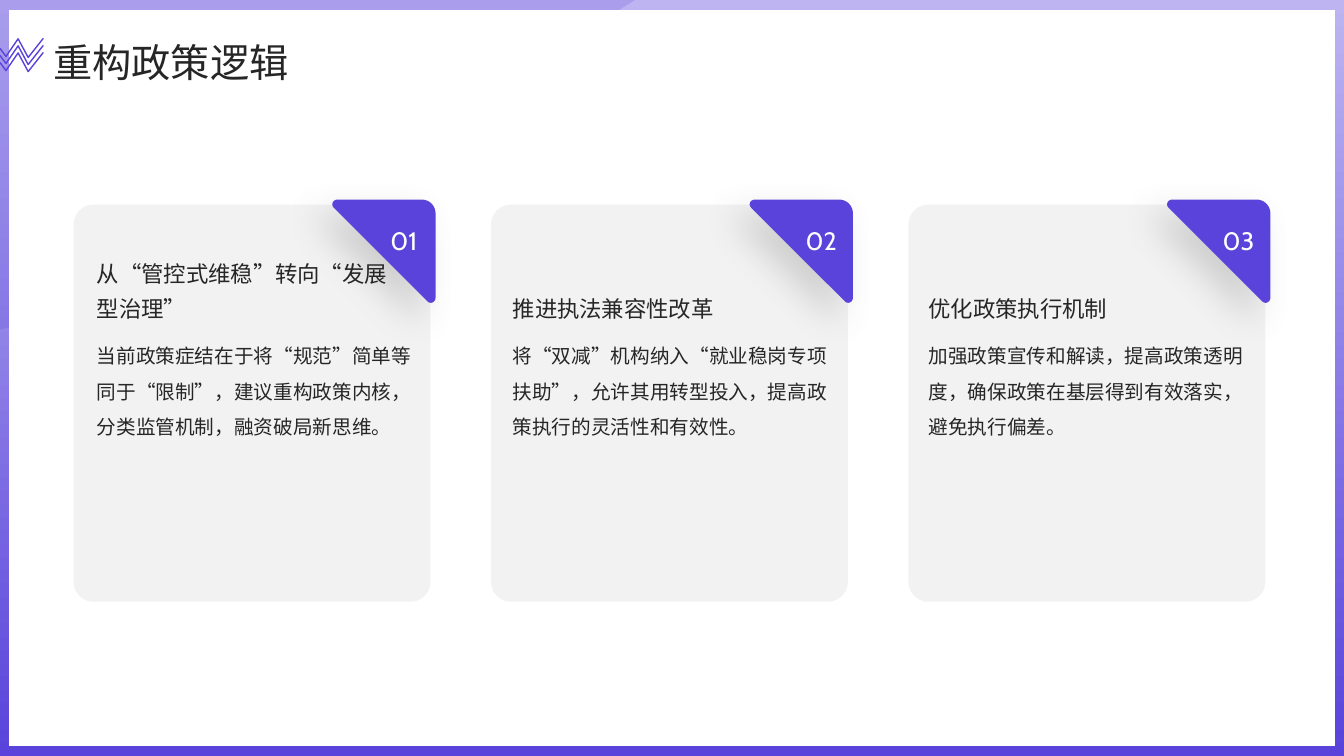
"""Build the policy logic slide with three numbered cards."""
from dataclasses import dataclass, replace

from lxml import etree
from pptx import Presentation
from pptx import util as u
from pptx.dml.color import RGBColor
from pptx.enum import shapes, text
from pptx.oxml.ns import qn

SLIDE_WIDTH, SLIDE_HEIGHT = u.Inches(13.33), u.Inches(7.5)
COLUMNS, ROWS = 133.3, 75
COLUMN, ROW = SLIDE_WIDTH / COLUMNS, SLIDE_HEIGHT / ROWS
CARD_PITCH, TEXT_PITCH = 41.4, 41.25
CURVE_STEPS = 12

PURPLE = RGBColor(0x5A, 0x43, 0xDB)
LILAC = RGBColor(0xBD, 0xB4, 0xF1)
WHITE = RGBColor(0xFF, 0xFF, 0xFF)
CARD_GRAY = RGBColor(0xF2, 0xF2, 0xF2)
SHADOW_GRAY = RGBColor(0x80, 0x80, 0x80)
INK = RGBColor(0x26, 0x26, 0x26)
CHINESE_FONT, NUMBER_FONT = "Noto Sans CJK SC", "Cabin"

Point = tuple[float, float]
Segment = tuple[Point, ...]


@dataclass(frozen=True)
class Box:
    """A rectangle measured in grid columns and rows."""
    left: float
    top: float
    width: float
    height: float

    def shifted(self, columns: float) -> "Box":
        """Return the box moved to the right."""
        return replace(self, left=self.left + columns)

    def lengths(self) -> tuple[int, int, int, int]:
        """Return left, top, width and height as slide lengths."""
        return (round(self.left * COLUMN), round(self.top * ROW),
                round(self.width * COLUMN), round(self.height * ROW))


@dataclass(frozen=True)
class Style:
    """The look of a one-paragraph text."""
    size: int
    spacing: float
    anchor: text.MSO_ANCHOR
    font: str = CHINESE_FONT
    color: RGBColor = INK
    align: text.PP_ALIGN = text.PP_ALIGN.LEFT


@dataclass(frozen=True)
class Card:
    """The wording of one card."""
    number: str
    heading: str
    body: str


TITLE = Style(28, 1.3, text.MSO_ANCHOR.MIDDLE)
HEADING = Style(16, 1.3, text.MSO_ANCHOR.BOTTOM)
BODY = Style(14, 1.5, text.MSO_ANCHOR.TOP)
NUMBER = Style(18, 1.1, text.MSO_ANCHOR.MIDDLE, NUMBER_FONT, WHITE, text.PP_ALIGN.CENTER)

BACKDROP = Box(0, 0, COLUMNS, ROWS)
PANEL = Box(0.9, 1, 131.5, 73)
TITLE_BOX = Box(4.3, 2.6, 118.8, 5.6)
CARD_BOX = Box(7.3, 20.3, 35.4, 39.4)
NUMBER_BOX = Box(36.9, 21.7, 6.3, 3.9)
HEADING_BOX = Box(9.6, 25.1, 29.05, 6.8)
BODY_BOX = Box(9.6, 33, 31.5, 21.7)

CARDS = (
    Card("01", "从“管控式维稳”转向“发展型治理”",
         "当前政策症结在于将“规范”简单等同于“限制”，建议重构政策内核，分类监管机制，融资破局新思维。"),
    Card("02", "推进执法兼容性改革",
         "将“双减”机构纳入“就业稳岗专项扶助”，允许其用转型投入，提高政策执行的灵活性和有效性。"),
    Card("03", "优化政策执行机制",
         "加强政策宣传和解读，提高政策透明度，确保政策在基层得到有效落实，避免执行偏差。"),
)

WAVE: tuple[Segment, ...] = (
    ((0, 0),), ((63, 0),), ((61.7, 0.8),),
    ((59.6, 2.2), (57.6, 3.2), (56.4, 3.8)), ((51.4, 6.1), (43.1, 0.9), (37.6, 2.4)),
    ((32.2, 3.8), (28.4, 10.2), (23.7, 12.4)), ((19.1, 14.7), (12.5, 13.1), (9.6, 15.9)),
    ((6.6, 18.7), (8.6, 26.2), (6.1, 29.2)), ((4.8, 30.7), (3, 31.7), (0.9, 32.5)),
    ((0, 32.7),),
)
BADGE: tuple[Segment, ...] = (
    ((41.8, 19.8),), ((33.5, 19.8),), ((33, 19.8), (32.8, 20.3), (33.1, 20.6)),
    ((42.4, 29.9),), ((42.7, 30.2), (43.2, 30), (43.2, 29.5)), ((43.2, 21.2),),
    ((43.2, 20.4), (42.6, 19.8), (41.8, 19.8)),
)
ZIGZAG: tuple[Segment, ...] = (
    ((0, 1),), ((0.6, 1.8),), ((1.8, 0.05),), ((2.8, 1.9),), ((4.3, 0),),
)
ZIGZAG_TOPS = (5.2, 4.5, 3.8)


def trace(outline: tuple[Segment, ...]) -> list[Point]:
    """Turn lines and cubic curves into a list of points."""
    points: list[Point] = [outline[0][0]]
    for segment in outline[1:]:
        if len(segment) == 1:
            points.append(segment[0])
            continue
        controls = (points[-1], *segment)
        for step in range(1, CURVE_STEPS + 1):
            t = step / CURVE_STEPS
            weights = ((1 - t) ** 3, 3 * t * (1 - t) ** 2, 3 * t * t * (1 - t), t ** 3)
            points.append((sum(w * p[0] for w, p in zip(weights, controls)),
                           sum(w * p[1] for w, p in zip(weights, controls))))
    return points


def add_outline(slide, outline: tuple[Segment, ...], left: float = 0, top: float = 0,
                closed: bool = True):
    """Draw an outline, filled if closed and stroked if open."""
    points = [((x + left) * COLUMN, (y + top) * ROW) for x, y in trace(outline)]
    builder = slide.shapes.build_freeform(*points[0])
    builder.add_line_segments(points[1:], close=closed)
    shape = builder.convert_to_shape()
    shape.shadow.inherit = False
    if closed:
        shape.fill.solid()
        shape.fill.fore_color.rgb = PURPLE
        shape.line.fill.background()
    else:
        shape.fill.background()
        shape.line.color.rgb = PURPLE
        shape.line.width = u.Pt(1)
    return shape


def add_block(slide, kind: shapes.MSO_SHAPE, box: Box, color: RGBColor):
    """Draw a preset shape with a plain fill."""
    shape = slide.shapes.add_shape(kind, *box.lengths())
    shape.shadow.inherit = False
    shape.fill.solid()
    shape.fill.fore_color.rgb = color
    shape.line.fill.background()
    return shape


def set_opacity(color_element, percent: int) -> None:
    """Set the opacity of a colour element."""
    etree.SubElement(color_element, qn("a:alpha")).set("val", str(percent * 1000))


def add_shadow(shape) -> None:
    """Give a shape a soft shadow down to the left."""
    effects = shape.element.spPr.find(qn("a:effectLst"))
    shadow = etree.SubElement(effects, qn("a:outerShdw"), blurRad=str(u.Pt(25)),
                              dist=str(u.Pt(15)), dir=str(135 * 60000),
                              algn="tr", rotWithShape="0")
    color = etree.SubElement(shadow, qn("a:srgbClr"), val=str(SHADOW_GRAY))
    set_opacity(color, 30)


def write(frame, wording: str, style: Style) -> None:
    """Write one styled paragraph into a text frame."""
    frame.word_wrap = True
    frame.auto_size = text.MSO_AUTO_SIZE.NONE
    frame.vertical_anchor = style.anchor
    paragraph = frame.paragraphs[0]
    paragraph.text = wording
    paragraph.alignment = style.align
    paragraph.line_spacing = style.spacing
    font = paragraph.font
    font.size, font.name = u.Pt(style.size), style.font
    font.color.rgb = style.color
    latin = paragraph._p.pPr.find(qn("a:defRPr")).find(qn("a:latin"))
    latin.addnext(etree.Element(qn("a:ea"), typeface=style.font))


def add_text(slide, box: Box, wording: str, style: Style) -> None:
    """Add a text box without insets."""
    frame = slide.shapes.add_textbox(*box.lengths()).text_frame
    frame.margin_left = frame.margin_top = frame.margin_right = frame.margin_bottom = 0
    write(frame, wording, style)


def add_backdrop(slide) -> None:
    """Draw the gradient, the wave and the white panel."""
    backdrop = add_block(slide, shapes.MSO_SHAPE.RECTANGLE, BACKDROP, LILAC)
    backdrop.fill.gradient()
    backdrop.fill.gradient_angle = 270
    for stop, color, position in zip(backdrop.fill.gradient_stops, (LILAC, PURPLE), (0, 1)):
        stop.color.rgb, stop.position = color, position
    wave = add_outline(slide, WAVE)
    set_opacity(wave.element.spPr.find(qn("a:solidFill"))[0], 20)
    add_block(slide, shapes.MSO_SHAPE.RECTANGLE, PANEL, WHITE)


def add_card(slide, card: Card, index: int) -> None:
    """Draw one card with its badge and texts."""
    shift = index * CARD_PITCH
    panel = add_block(slide, shapes.MSO_SHAPE.ROUNDED_RECTANGLE, CARD_BOX.shifted(shift), CARD_GRAY)
    panel.adjustments[0] = 0.056
    add_shadow(add_outline(slide, BADGE, left=shift))
    add_text(slide, NUMBER_BOX.shifted(shift), card.number, NUMBER)
    add_text(slide, HEADING_BOX.shifted(index * TEXT_PITCH), card.heading, HEADING)
    add_text(slide, BODY_BOX.shifted(index * TEXT_PITCH), card.body, BODY)


def add_title(slide) -> None:
    """Place the title in front of the panel."""
    title = slide.shapes.title
    slide.shapes.element.append(title.element)
    title.left, title.top, title.width, title.height = TITLE_BOX.lengths()
    write(title.text_frame, "重构政策逻辑", TITLE)


def main() -> None:
    """Build and save the presentation."""
    presentation = Presentation()
    presentation.slide_width, presentation.slide_height = SLIDE_WIDTH, SLIDE_HEIGHT
    slide = presentation.slides.add_slide(presentation.slide_layouts.get_by_name("Title Only"))
    add_backdrop(slide)
    for index, card in enumerate(CARDS):
        add_card(slide, card, index)
    add_title(slide)
    for top in ZIGZAG_TOPS:
        add_outline(slide, ZIGZAG, top=top, closed=False)
    presentation.save("out.pptx")


if __name__ == "__main__":
    main()
